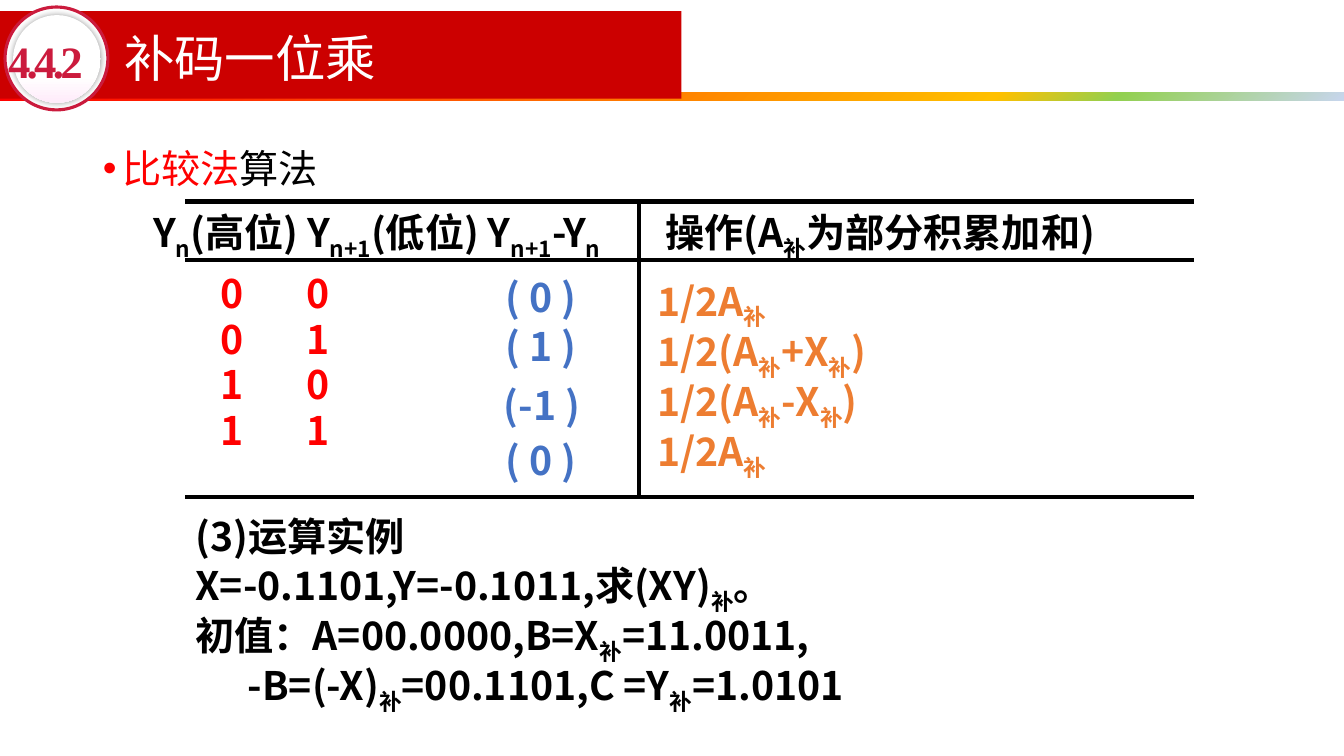
from dataclasses import dataclass

from lxml import etree
from pptx import Presentation
from pptx import util as u
from pptx.dml.color import RGBColor
from pptx.enum import shapes, text
from pptx.oxml import ns

COLORS = {
    "banner": "CC0000", "crimson": "CB1B3D", "white": "FFFFFF", "black": "000000",
    "red": "FF0000", "blue": "4472C4", "orange": "ED7D31",
}
RAINBOW = [(0, "FF0000"), (74, "FFC000"), (83, "92D050"), (100, "C7D5ED")]
PEARL = [(0, "FFFFFF"), (70, "FFFFFF"), (100, "FFEBFA")]
SANS = "Noto Sans CJK SC"
SERIF = "Times New Roman"


@dataclass
class Style:
    color: str
    size: float = 28
    bold: bool = True
    font: str = SANS
    spacing: int = 0


@dataclass
class Note:
    box: tuple
    color: str
    lines: list
    line_spacing: float = 0.7
    tab: float = 0
    last_indent: float = 0


@dataclass
class Rule:
    start: tuple
    end: tuple


def rgb(name: str) -> RGBColor:
    return RGBColor.from_string(COLORS[name])


def child(parent, tag: str, **attributes):
    return etree.SubElement(parent, ns.qn(tag), attributes)


def place(shape, box: tuple) -> None:
    for side, value in zip(("left", "top", "width", "height"), box):
        setattr(shape, side, u.Inches(value))


def apply(target, formats: dict) -> None:
    for name, value in formats.items():
        setattr(target, name, value)


def add_run(paragraph, words: str, style: Style, lowered: bool = False) -> None:
    run = paragraph.add_run()
    run.text = words
    apply(run.font, {"size": u.Pt(style.size), "bold": style.bold, "name": style.font})
    run.font.color.rgb = rgb(style.color)
    properties = run._r.get_or_add_rPr()
    child(properties, "a:ea", typeface=style.font)
    if lowered:
        properties.set("baseline", "-25000")
    if style.spacing:
        properties.set("spc", str(style.spacing))


def add_panel(slide, kind, box: tuple, color: str = "white"):
    panel = slide.shapes.add_shape(kind, *map(u.Inches, box))
    panel.shadow.inherit = False
    panel.fill.solid()
    panel.fill.fore_color.rgb = rgb(color)
    panel.line.fill.background()
    return panel


def set_gradient(panel, stops: list, angle: float) -> None:
    panel.fill.gradient()
    panel.fill.gradient_angle = angle
    stop_list = panel.element.spPr.find(".//" + ns.qn("a:gsLst"))
    for stop in list(stop_list):
        stop_list.remove(stop)
    for position, color in stops:
        stop = child(stop_list, "a:gs", pos=str(position * 1000))
        child(stop, "a:srgbClr", val=color)


def add_glow(panel) -> None:
    effects = panel.element.spPr.find(ns.qn("a:effectLst"))
    glow = child(effects, "a:outerShdw", blurRad=str(u.Pt(5)), dist="0", dir="0")
    tint = child(glow, "a:srgbClr", val=COLORS["black"])
    child(tint, "a:alpha", val="40000")


def add_note(slide, note: Note) -> None:
    box = slide.shapes.add_textbox(*map(u.Inches, note.box))
    frame = box.text_frame
    apply(frame, {"word_wrap": True, "auto_size": text.MSO_AUTO_SIZE.SHAPE_TO_FIT_TEXT})
    for index, line in enumerate(note.lines):
        paragraph = frame.add_paragraph() if index else frame.paragraphs[0]
        paragraph.line_spacing = note.line_spacing
        if index:
            paragraph.space_before = u.Pt(9)
        properties = paragraph._p.get_or_add_pPr()
        if note.last_indent and index == len(note.lines) - 1:
            properties.set("marL", str(u.Inches(note.last_indent)))
        if note.tab:
            tabs = child(properties, "a:tabLst")
            child(tabs, "a:tab", pos=str(u.Inches(note.tab)), algn="l")
        for part, words in enumerate(line.split("|")):
            if words:
                add_run(paragraph, words, Style(note.color), part % 2 == 1)


def add_rule(slide, rule: Rule) -> None:
    line = slide.shapes.add_connector(
        shapes.MSO_CONNECTOR.STRAIGHT, *map(u.Inches, rule.start + rule.end))
    line.line.color.rgb = rgb("black")
    line.line.width = u.Pt(3)
    child(line.element.spPr, "a:effectLst")


def fill_placeholder(holder, box: tuple, runs: list, formats: dict,
                     bullet: str = "", line_spacing: float = 1) -> None:
    place(holder, box)
    holder.element.getparent().append(holder.element)
    apply(holder.text_frame, {"auto_size": text.MSO_AUTO_SIZE.NONE, **formats})
    paragraph = holder.text_frame.paragraphs[0]
    apply(paragraph, {"alignment": text.PP_ALIGN.LEFT, "line_spacing": line_spacing,
                      "space_before": u.Pt(0)})
    properties = paragraph._p.get_or_add_pPr()
    hang = u.Inches(0.19) if bullet else 0
    properties.set("marL", str(hang))
    properties.set("indent", str(-hang))
    if bullet:
        child(properties, "a:buChar", char=bullet)
    else:
        child(properties, "a:buNone")
    for words, style in runs:
        add_run(paragraph, words, style)


def add_header(slide) -> None:
    rect, oval = shapes.MSO_SHAPE.RECTANGLE, shapes.MSO_SHAPE.OVAL
    set_gradient(add_panel(slide, rect, (0, 0.92, 13.33, 0.08)), RAINBOW, 315)
    add_panel(slide, rect, (0, 0.11, 6.76, 0.87), "banner")
    badge = add_panel(slide, oval, (0.05, 0.07, 1.02, 1.02))
    badge.line.color.rgb = rgb("crimson")
    badge.line.width = u.Pt(2.25)
    pearl = add_panel(slide, oval, (0.13, 0.15, 0.87, 0.87))
    set_gradient(pearl, PEARL, 270)
    add_glow(pearl)


LEFT, RIGHT, DIVIDER, TOP, BOTTOM = 1.84, 11.84, 6.34, 2, 4.93
RULES = [Rule((LEFT, y), (RIGHT, y)) for y in (TOP, 2.58, BOTTOM)]
RULES.append(Rule((DIVIDER, TOP), (DIVIDER, BOTTOM)))

DIFFERENCES = [(4.92, 2.66, "( 0 )"), (4.92, 3.15, "( 1 )"),
               (4.9, 3.73, "(-1 )"), (4.92, 4.28, "( 0 )")]
NOTES = [
    Note((1.42, 2.11, 10.83, 0.43), "black",
         ["Y|n|(高位) Y|n+1|(低位) Y|n+1|-Y|n|\t操作(A|补|为部分积累加和)"], tab=5.08),
    Note((2.09, 2.75, 2.83, 2.13), "red",
         [f"{high}\t{low}" for high in (0, 1) for low in (0, 1)], tab=0.85),
    Note((6.42, 2.79, 4, 2.13), "orange",
         ["1/2A|补", "1/2(A|补|+X|补|)", "1/2(A|补|-X|补|)", "1/2A|补"]),
    *[Note((x, y, 1.25, 0.57), "blue", [value], line_spacing=1)
      for x, y, value in DIFFERENCES],
    Note((LEFT, 5.16, 10, 2.13), "black",
         ["(3)运算实例", "X=-0.1101,Y=-0.1011,求(XY)|补|。",
          "初值：A=00.0000,B=X|补|=11.0011,", "-B=(-X)|补|=00.1101,C =Y|补|=1.0101"],
         last_indent=0.52),
]


def main() -> None:
    deck = Presentation()
    deck.slide_width, deck.slide_height = u.Inches(13.33), u.Inches(7.5)
    slide = deck.slides.add_slide(deck.slide_layouts[3])
    title, topic, number = slide.placeholders
    middle = {"vertical_anchor": text.MSO_ANCHOR.MIDDLE}
    flush = dict.fromkeys(("margin_left", "margin_top", "margin_right", "margin_bottom"), 0)
    add_header(slide)
    fill_placeholder(title, (1.13, 0.2, 7.44, 0.82),
                     [("补码一位乘", Style("white", 36, False))], middle, line_spacing=0.9)
    fill_placeholder(number, (0.08, 0.33, 0.93, 0.54),
                     [("4.4.2", Style("crimson", 32, True, SERIF, -270))], {**middle, **flush})
    fill_placeholder(topic, (0.92, 1.15, 11.5, 5.44),
                     [("比较法", Style("red", bold=False)), ("算法", Style("black", bold=False))],
                     {"vertical_anchor": text.MSO_ANCHOR.TOP}, "•", 1.5)
    for note in NOTES:
        add_note(slide, note)
    for rule in RULES:
        add_rule(slide, rule)
    deck.save("out.pptx")


if __name__ == "__main__":
    main()
